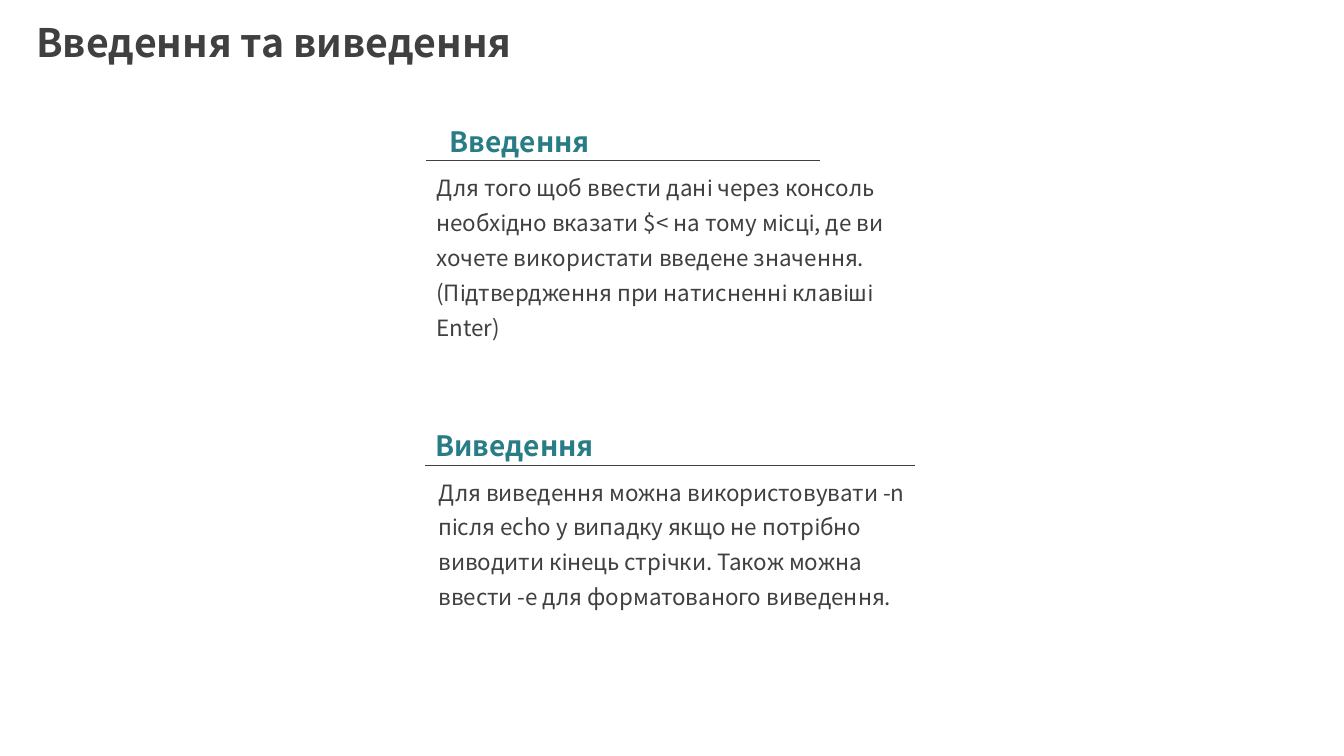
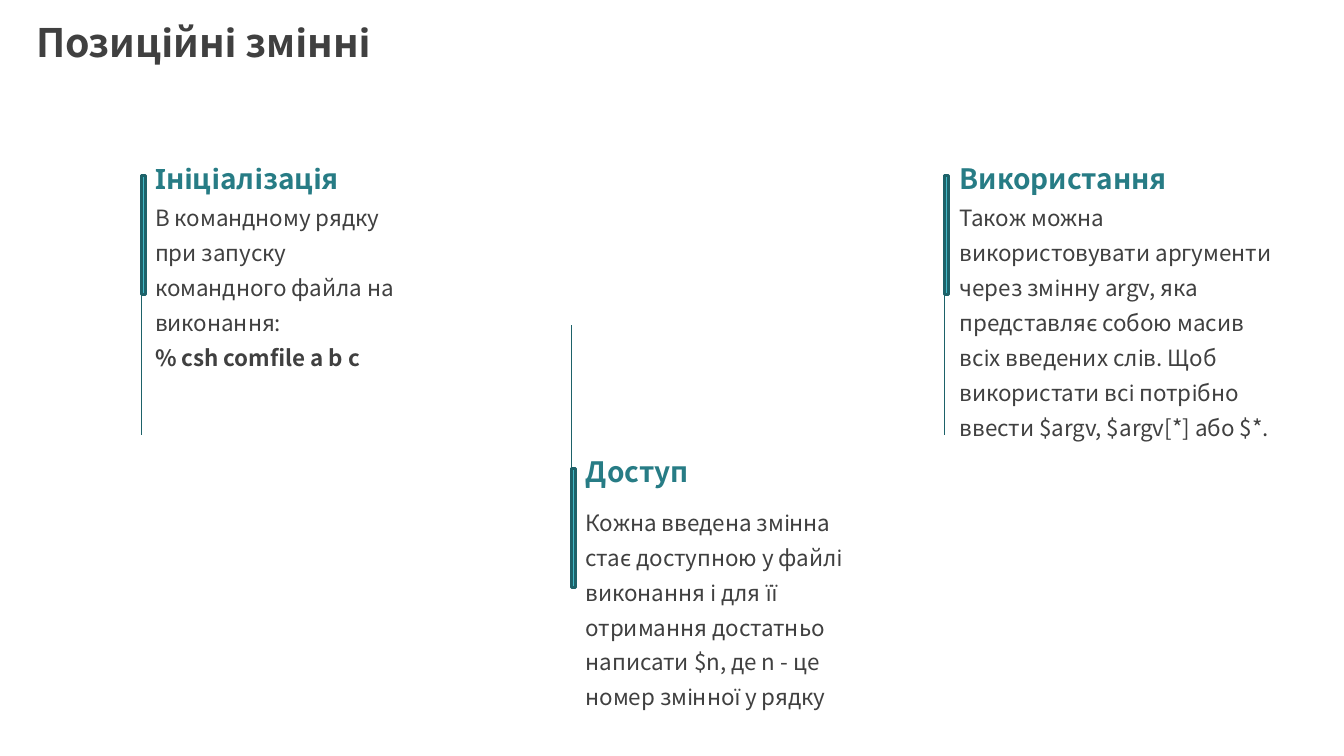
import pptx
import pptx.dml.color
import pptx.enum.shapes
import pptx.enum.text
import pptx.oxml.ns
import pptx.util
from lxml import etree

Inches = pptx.util.Inches
Pt = pptx.util.Pt
ALIGN = pptx.enum.text.PP_ALIGN

FONT = "Noto Sans CJK SC"
COLORS = {
    "text": "404040",
    "heading": "277C85",
    "bar": "42BAC8",
    "bar_line": "1D6269",
}
TITLE = dict(size=28, bold=True, spacing=0.9)
HEADING = dict(size=20, bold=True, color="heading", spacing=0.9, before=10,
               align=ALIGN.JUSTIFY)
BODY = dict(size=16, spacing=1.3)


def write_text(shape, left, top, width, height, text, size=16, bold=False,
               color="text", spacing=1.0, before=0, align=ALIGN.LEFT,
               inset=0.1, bold_last=False):
    """Place a text shape and fill it, one paragraph for each line of text."""
    shape.left, shape.top = Inches(left), Inches(top)
    shape.width, shape.height = Inches(width), Inches(height)
    frame = shape.text_frame
    frame.word_wrap = True
    frame.auto_size = pptx.enum.text.MSO_AUTO_SIZE.SHAPE_TO_FIT_TEXT
    frame.vertical_anchor = pptx.enum.text.MSO_ANCHOR.TOP
    frame.margin_left = Inches(inset)
    frame.text = text
    for paragraph in frame.paragraphs:
        paragraph.alignment = align
        paragraph.line_spacing = spacing
        paragraph.space_before = Pt(before)
        font = paragraph.runs[0].font
        font.name, font.size, font.bold = FONT, Pt(size), bold
        font.color.rgb = pptx.dml.color.RGBColor.from_string(COLORS[color])
    if bold_last:
        frame.paragraphs[-1].runs[0].font.bold = True


def add_line(slide, x1, y1, x2, y2, color, width):
    line = slide.shapes.add_connector(
        pptx.enum.shapes.MSO_CONNECTOR.STRAIGHT,
        Inches(x1), Inches(y1), Inches(x2), Inches(y2))
    line.line.color.rgb = pptx.dml.color.RGBColor.from_string(COLORS[color])
    line.line.width = Pt(width)
    etree.SubElement(line._element.spPr, pptx.oxml.ns.qn("a:effectLst"))


presentation = pptx.Presentation()
presentation.slide_width = Inches(13.33)
presentation.slide_height = Inches(7.5)

slides = []
for title in ("Введення та виведення", "Позиційні змінні"):
    slide = presentation.slides.add_slide(presentation.slide_layouts[5])
    write_text(slide.shapes.title, 0.26, 0.18, 7.56, 0.52, title, **TITLE)
    slides.append(slide)
io_slide, variables_slide = slides

# Input and output: underlined headings
# heading, heading box, heading inset, rule (left, y, right), body box, body
sections = [
    ("Введення", (4.23, 1.22, 3.25, 0.4), 0.23, (4.23, 1.59, 8.13),
     (4.23, 1.6, 4.9, 1.85),
     "Для того щоб ввести дані через консоль необхідно вказати $< на тому "
     "місці, де ви хочете використати введене значення. (Підтвердження при "
     "натисненні клавіші Enter)"),
    ("Виведення", (4.22, 4.24, 4.05, 0.4), 0.1, (4.22, 4.62, 9.08),
     (4.25, 4.62, 4.86, 1.5),
     "Для виведення можна використовувати -n після echo у випадку якщо не "
     "потрібно виводити кінець стрічки. Також можна ввести -e для "
     "форматованого виведення."),
]
for heading, heading_box, inset, (left, y, right), body_box, body in sections:
    add_line(io_slide, left, y, right, y, "text", 1)
    write_text(io_slide.shapes.add_textbox(0, 0, 0, 0), *heading_box, heading,
               inset=inset, **HEADING)
    write_text(io_slide.shapes.add_textbox(0, 0, 0, 0), *body_box, body, **BODY)

# Positional variables: columns marked by a bar and a thin line
# bar left, bar top, line start and end, text left, heading, heading width,
# body top, body width, body height, body, bold last paragraph
BAR_WIDTH, BAR_HEIGHT = 0.04, 1.18
columns = [
    (1.4, 1.74, 1.74, 4.32, 1.44, "Ініціалізація", 2.49, 1.9, 2.63, 1.85,
     "В командному рядку при запуску командного файла на виконання:\n"
     "% сsh comfile a b c", True),
    (5.67, 4.65, 5.83, 3.22, 5.71, "Доступ", 3.17, 4.92, 3.03, 2.2,
     "Кожна введена змінна стає доступною у файлі виконання і для її "
     "отримання достатньо написати $n, де n - це номер змінної у рядку", False),
    (9.37, 1.74, 1.74, 4.32, 9.42, "Використання", 3.31, 1.9, 3.31, 2.9,
     "Також можна використовувати аргументи через змінну argv, яка "
     "представляє собою масив всіх введених слів. Щоб використати всі "
     "потрібно ввести $argv, $argv[*] або $*.", False),
]
for (bar_left, bar_top, line_start, line_end, text_left, heading,
     heading_width, body_top, body_width, body_height, body,
     bold_last) in columns:
    add_line(variables_slide, bar_left, line_start, bar_left, line_end,
             "bar_line", 0.75)
    bar = variables_slide.shapes.add_shape(
        pptx.enum.shapes.MSO_SHAPE.RECTANGLE, Inches(bar_left),
        Inches(bar_top), Inches(BAR_WIDTH), Inches(BAR_HEIGHT))
    bar.shadow.inherit = False
    bar.fill.solid()
    bar.fill.fore_color.rgb = pptx.dml.color.RGBColor.from_string(COLORS["bar"])
    bar.line.color.rgb = pptx.dml.color.RGBColor.from_string(COLORS["bar_line"])
    bar.line.width = Pt(2.25)
    write_text(variables_slide.shapes.add_textbox(0, 0, 0, 0), text_left,
               bar_top - 0.15, heading_width, 0.4, heading, **HEADING)
    write_text(variables_slide.shapes.add_textbox(0, 0, 0, 0), text_left,
               body_top, body_width, body_height, body, bold_last=bold_last,
               **BODY)

presentation.save("out.pptx")
